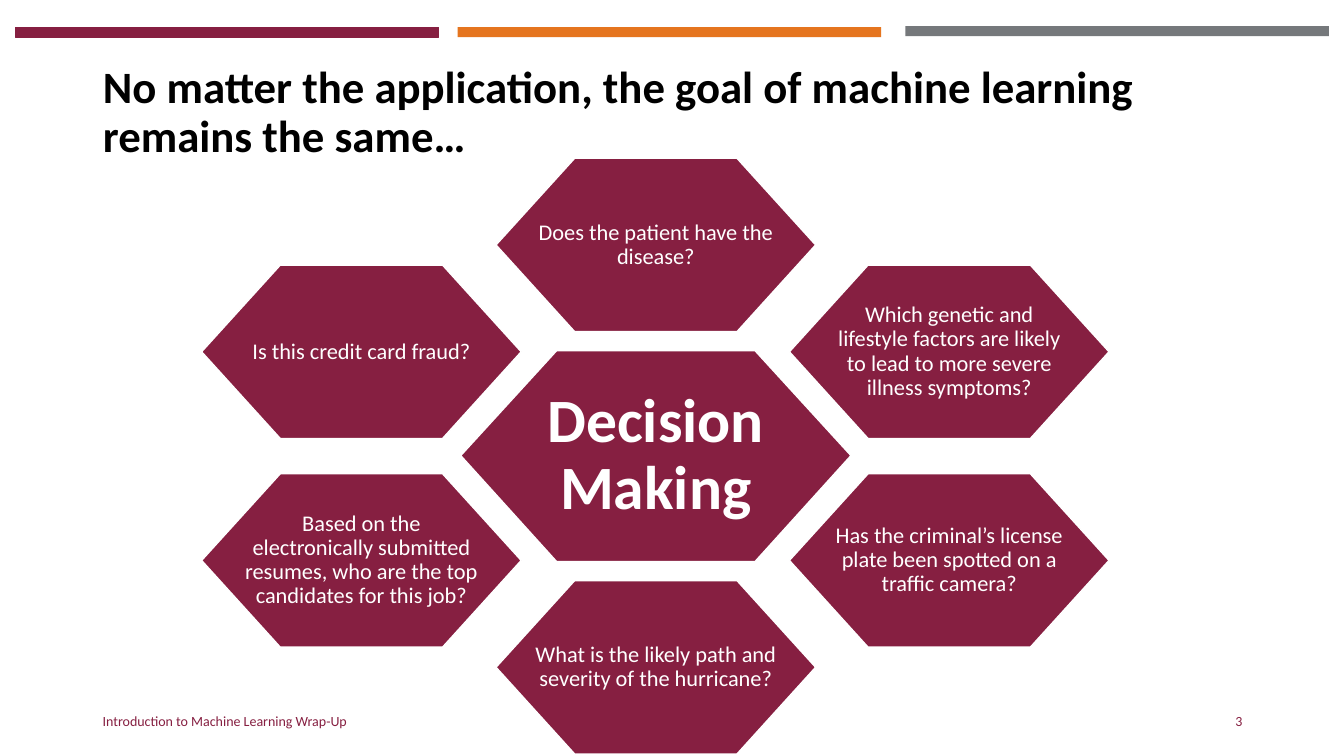
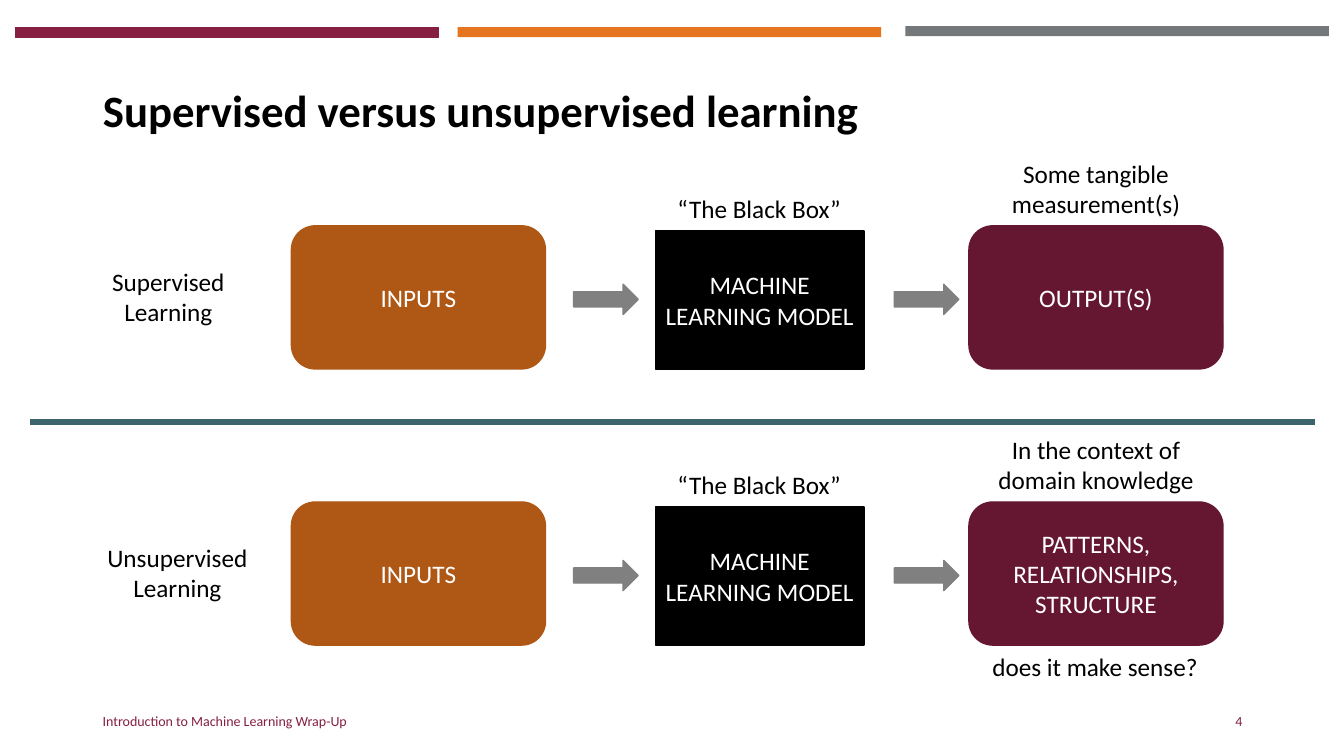
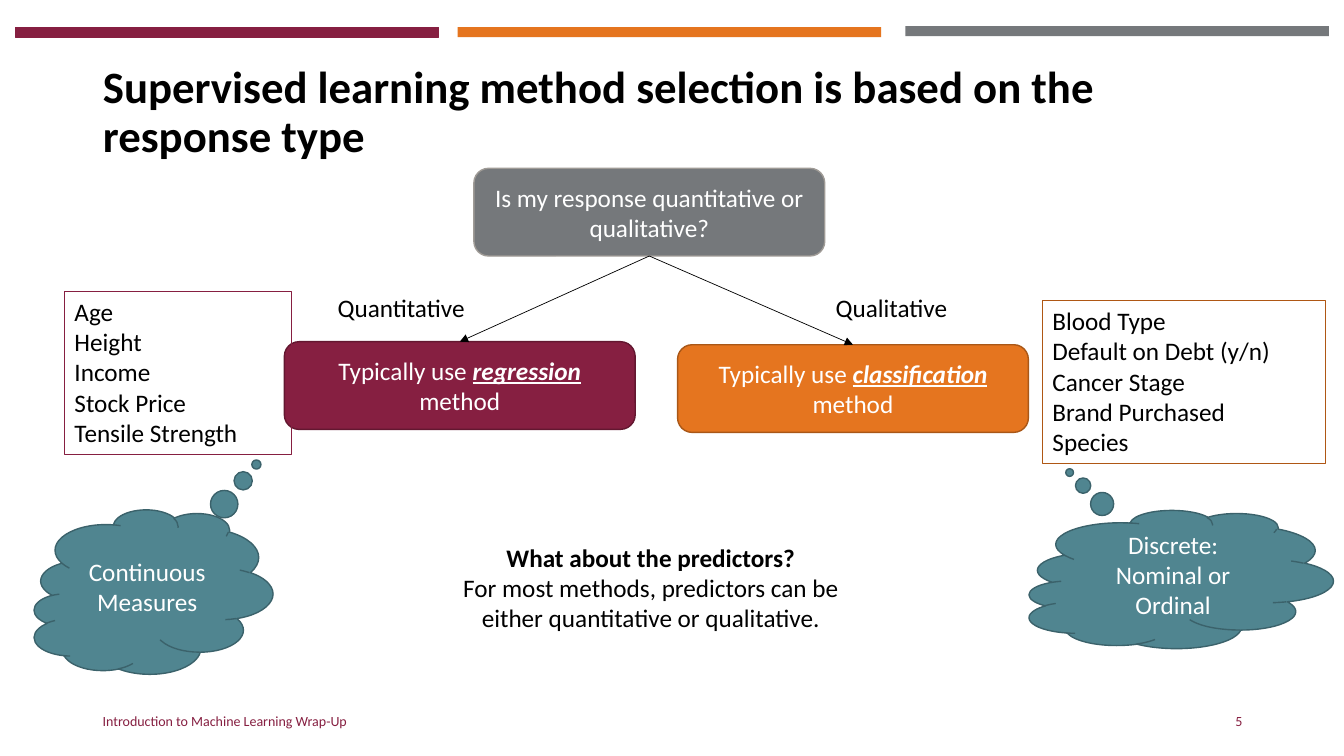
"""Build three machine learning wrap-up slides."""
import pptx
import pptx.util
import pptx.dml.color
import pptx.enum.shapes
import pptx.enum.text
import pptx.oxml
import lxml.etree

PX = 9144
FONT = "Calibri"
HUE = {
    "maroon": "861F41", "wine": "651731", "plum": "631730",
    "orange": "E5751F", "rust": "AF5714", "brown": "A95717",
    "gray": "75787B", "stone": "9F9B96", "arrow": "808080",
    "teal": "508590", "slate": "3B626B", "rule": "3C646C",
    "black": "000000", "white": "FFFFFF",
}
KIND = pptx.enum.shapes.MSO_SHAPE
LINK = pptx.enum.shapes.MSO_CONNECTOR.STRAIGHT
ALIGN = pptx.enum.text.PP_ALIGN
ANCHOR = pptx.enum.text.MSO_ANCHOR
Pt = pptx.util.Pt


def rgb(name):
    return pptx.dml.color.RGBColor.from_string(HUE[name])


def draw(shape, fill=None, line=None, text="", size=18, hue="black",
         bold=False, align=ALIGN.CENTER, anchor=ANCHOR.MIDDLE, width=1):
    if hasattr(shape, "shadow"):
        shape.shadow.inherit = False
    if fill:
        shape.fill.solid()
        shape.fill.fore_color.rgb = rgb(fill)
    else:
        shape.fill.background()
    if line:
        shape.line.color.rgb = rgb(line)
        shape.line.width = Pt(width)
    else:
        shape.line.fill.background()
    if text:
        frame = shape.text_frame
        frame.word_wrap = True
        frame.vertical_anchor = anchor
        frame.text = text
        for para in frame.paragraphs:
            para.alignment = align
            para.font.name = FONT
            para.font.size = Pt(size)
            para.font.bold = bold
            para.font.color.rgb = rgb(hue)
    return shape


deck = pptx.Presentation()
deck.slide_width = 1333 * PX
deck.slide_height = 750 * PX
plan = deck.slide_layouts[5]

head = plan.placeholders[0]
head.left, head.top, head.width, head.height = [n * PX for n in (92, 40, 1150, 145)]
head.text_frame.vertical_anchor = ANCHOR.MIDDLE
head.text_frame.auto_size = pptx.enum.text.MSO_AUTO_SIZE.NONE

titles = [
    "No matter the application, the goal of machine learning remains the same…",
    "Supervised versus unsupervised learning",
    "Supervised learning method selection is based on the response type",
]
for page, title in enumerate(titles, 3):
    slide = deck.slides.add_slide(plan)
    slide.shapes.title.text_frame.text = title
    para = slide.shapes.title.text_frame.paragraphs[0]
    para.alignment = ALIGN.LEFT
    para.line_spacing = 0.9
    para.font.name = FONT
    para.font.size = Pt(32)
    para.font.bold = True
    para.font.color.rgb = rgb("black")
    for x, w, text, align in [
        (92, 450, "Introduction to Machine Learning Wrap-Up", ALIGN.LEFT),
        (942, 300, str(page), ALIGN.RIGHT),
    ]:
        box = slide.shapes.add_textbox(x * PX, 695 * PX, w * PX, 40 * PX)
        draw(box, text=text, size=10, hue="maroon", align=align)

goals, types, choice = deck.slides

for i, (x, y, fill, line) in enumerate([
    (15, 27, "maroon", "maroon"), (898, 26, "gray", None), (454, 27, "orange", None),
]):
    bar = goals.shapes.add_shape(KIND.RECTANGLE, x * PX, y * PX, 420 * PX, 10 * PX)
    draw(bar, fill, line, width=0.75)
    bar.element.nvSpPr.cNvPr.id = 20 + i
    plan.element.cSld.spTree.append(bar.element)

petal = (317, 172, 78, 16, 38, 34)
core = (387, 209, 95, 44, 47, 41)
for x, y, text, form in [
    (457, 348, "Decision Making", core),
    (492, 157, "Does the patient have the disease?", petal),
    (783, 263, "Which genetic and lifestyle factors are likely to lead to more severe illness symptoms?", petal),
    (783, 470, "Has the criminal’s license plate been spotted on a traffic camera?", petal),
    (492, 576, "What is the likely path and severity of the hurricane?", petal),
    (200, 470, "Based on the electronically submitted resumes, who are the top candidates for this job?", petal),
    (200, 263, "Is this credit card fraud?", petal),
]:
    w, h, cut, size, side, edge = form
    mid = y + h // 2
    pen = goals.shapes.build_freeform(x, mid, scale=PX)
    pen.add_line_segments([
        (x + cut, y), (x + w - cut, y), (x + w, mid),
        (x + w - cut, y + h), (x + cut, y + h),
    ])
    hexa = draw(pen.convert_to_shape(), "maroon", "white", text, size, "white", form is core)
    frame = hexa.text_frame
    frame.margin_left = frame.margin_right = side * PX
    frame.margin_top = frame.margin_bottom = edge * PX
    frame.paragraphs[0].line_spacing = 0.9

for y, name, left, result, note in [
    (224, "Supervised Learning", 72, "OUTPUT(S)", "Some tangible measurement(s)"),
    (498, "Unsupervised Learning", 81, "PATTERNS,\nRELATIONSHIPS, STRUCTURE",
     "In the context of domain knowledge"),
]:
    for kind, x, top, w, h, fill, text in [
        (KIND.RECTANGLE, 650, y + 5, 207, 137, "black", "MACHINE LEARNING MODEL"),
        (KIND.ROUNDED_RECTANGLE, 289, y, 252, 142, "rust", "INPUTS"),
        (KIND.ROUNDED_RECTANGLE, 961, y, 252, 142, "wine", result),
        (KIND.RIGHT_ARROW, 569, y + 58, 64, 30, "arrow", ""),
        (KIND.RIGHT_ARROW, 887, y + 58, 64, 30, "arrow", ""),
    ]:
        box = types.shapes.add_shape(kind, x * PX, top * PX, w * PX, h * PX)
        draw(box, fill, fill, text, hue="white")
    for x, top, w, h, text in [
        (625, y - 37, 256, 40, "“The Black Box”"),
        (961, y - 72, 252, 71, note),
        (left, y + 35, 190, 71, name),
    ]:
        box = types.shapes.add_textbox(x * PX, top * PX, w * PX, h * PX)
        draw(box, text=text, anchor=ANCHOR.TOP)

box = types.shapes.add_textbox(945 * PX, 641 * PX, 282 * PX, 40 * PX)
draw(box, text="does it make sense?", anchor=ANCHOR.TOP)
rule = types.shapes.add_connector(LINK, 30 * PX, 419 * PX, 1304 * PX, 419 * PX)
rule.line.color.rgb = rgb("rule")
rule.line.width = Pt(4.5)
lxml.etree.SubElement(rule.element.spPr, pptx.oxml.ns.qn("a:effectLst"))

nodes = []
for x, y, fill, line, text in [
    (470, 167, "gray", "stone", "Is my response quantitative or qualitative?"),
    (282, 339, "maroon", "plum", "Typically use |regression| method"),
    (672, 342, "orange", "brown", "Typically use |classification| method"),
]:
    node = choice.shapes.add_shape(KIND.ROUNDED_RECTANGLE, x * PX, y * PX, 348 * PX, 87 * PX)
    parts = text.split("|")
    draw(node, fill, line, parts[0], hue="white")
    para = node.text_frame.paragraphs[0]
    for i, part in enumerate(parts[1:]):
        run = para.add_run()
        run.text = part
        if i == 0:
            run.font.bold = run.font.italic = run.font.underline = True
    nodes.append(node)

for node in nodes[1:]:
    link = choice.shapes.add_connector(LINK, 0, 0, 0, 0)
    link.begin_connect(nodes[0], 2)
    link.end_connect(node, 0)
    link.line.color.rgb = rgb("black")
    link.line.width = Pt(0.5)
    tail = lxml.etree.SubElement(link.line._get_or_add_ln(), pptx.oxml.ns.qn("a:tailEnd"))
    tail.set("type", "triangle")
    lxml.etree.SubElement(link.element.spPr, pptx.oxml.ns.qn("a:effectLst"))

for x, text in [(325, "Quantitative"), (819, "Qualitative")]:
    box = choice.shapes.add_textbox(x * PX, 285 * PX, 205 * PX, 40 * PX)
    draw(box, text=text, align=ALIGN.LEFT, anchor=ANCHOR.TOP)

for x, y, w, line, text in [
    (64, 289, 225, "maroon", "Age\nHeight\nIncome\nStock Price\nTensile Strength"),
    (1034, 298, 281, "rust",
     "Blood Type\nDefault on Debt (y/n)\nCancer Stage\nBrand Purchased\nSpecies"),
]:
    box = choice.shapes.add_shape(KIND.RECTANGLE, x * PX, y * PX, w * PX, 162 * PX)
    draw(box, None, line, text, align=ALIGN.LEFT, anchor=ANCHOR.TOP, width=0.75)

box = choice.shapes.add_textbox(312 * PX, 533 * PX, 667 * PX, 101 * PX)
draw(box, anchor=ANCHOR.TOP, text="What about the predictors?\n"
     "For most methods, predictors can be\neither quantitative or qualitative.")
box.text_frame.paragraphs[0].font.bold = True

for x, y, w, h, tip, text in [
    (70, 469, 163, 237, (-0.777, 0.434), "Continuous Measures"),
    (1102, 424, 137, 302, (-0.775, -0.363), "Discrete: Nominal or Ordinal"),
]:
    cloud = choice.shapes.add_shape(KIND.CLOUD_CALLOUT, x * PX, y * PX, w * PX, h * PX)
    draw(cloud, "teal", "slate", text, hue="white")
    cloud.adjustments[0], cloud.adjustments[1] = tip
    cloud.rotation = 270
    cloud.element.spPr.xfrm.set("flipH", "1")
    cloud.element.txBody.bodyPr.set("vert", "vert")

deck.save("out.pptx")
